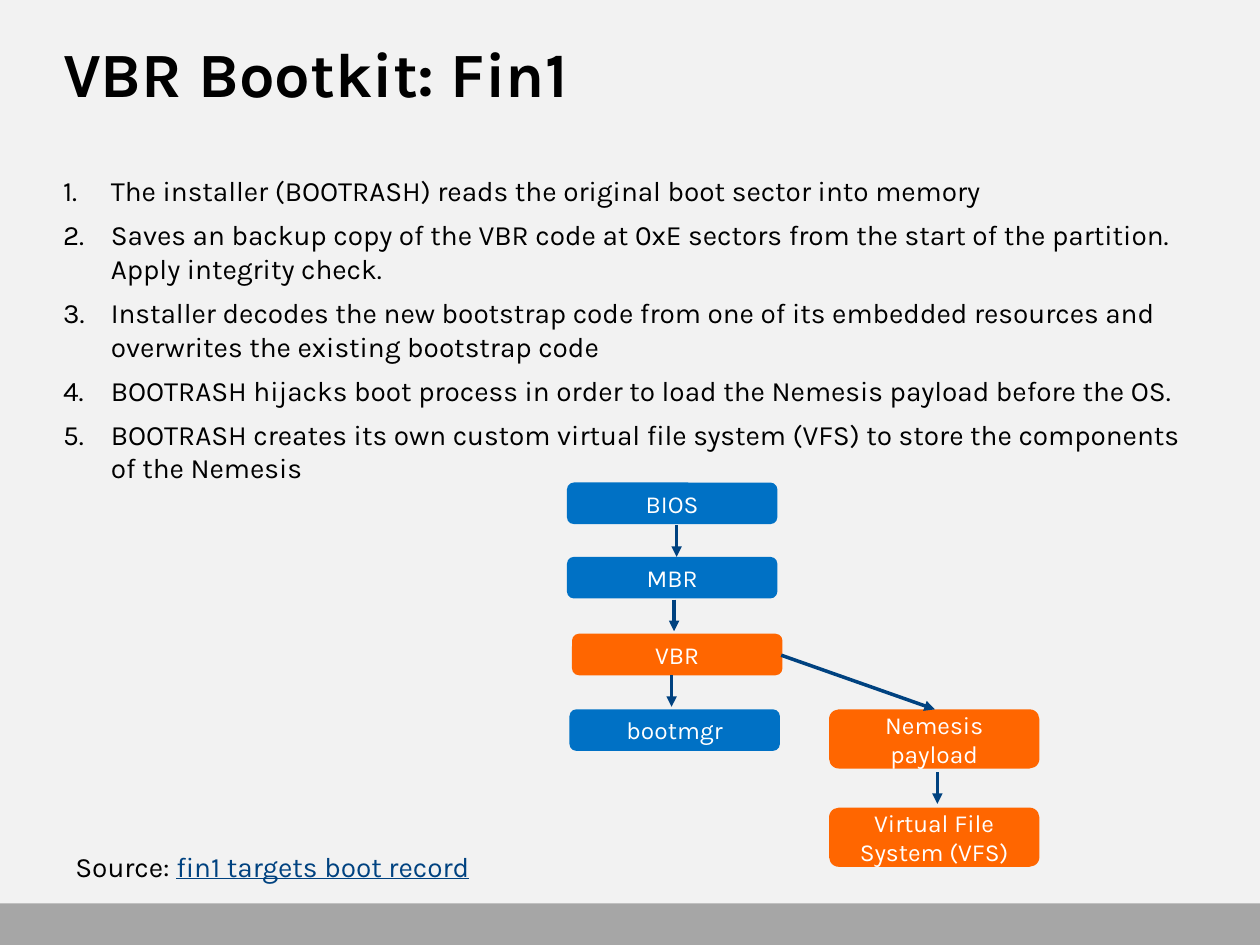
"""Build the VBR bootkit slide with its numbered steps and boot flow diagram."""
from lxml import etree
from pptx import Presentation
from pptx import util as u
from pptx.dml.color import RGBColor
from pptx.enum import shapes, text
from pptx.oxml.ns import qn

FONT = "Karla"
BLACK = RGBColor(0x00, 0x00, 0x00)
WHITE = RGBColor(0xFF, 0xFF, 0xFF)
PAPER = RGBColor(0xF2, 0xF2, 0xF2)
GRAY = RGBColor(0xA6, 0xA6, 0xA6)
BLUE = RGBColor(0x00, 0x71, 0xC5)
NAVY = RGBColor(0x00, 0x42, 0x80)
ORANGE = RGBColor(0xFF, 0x66, 0x00)

WIDTH, HEIGHT = 10, 7.5
MARGIN = WIDTH * 0.05
CONTENT_WIDTH = WIDTH - 2 * MARGIN
FOOTER_HEIGHT = 0.33
INDENT = 0.38
BOX_WIDTH, LINE_HEIGHT, BOX_PADDING = 1.67, 0.14, 0.19
ARROW_LENGTH = 0.25

TITLE = "VBR Bootkit: Fin1"
STEPS = [
    "The installer (BOOTRASH) reads the original boot sector into memory",
    "Saves an backup copy of the VBR code at 0xE sectors from the start of the partition. "
    "Apply integrity check.",
    "Installer decodes the new bootstrap code from one of its embedded resources and "
    "overwrites the existing bootstrap code",
    "BOOTRASH hijacks boot process in order to load the Nemesis payload before the OS.",
    "BOOTRASH creates its own custom virtual file system (VFS) to store the components "
    "of the Nemesis",
]
SOURCE = [("Source: ", BLACK, False), ("fin1 targets boot record", NAVY, True)]
BOXES = [  # label, left, top, text lines, fill
    ("BIOS", 4.5, 3.83, 1, BLUE),
    ("MBR", 4.5, 4.42, 1, BLUE),
    ("VBR", 4.54, 5.03, 1, ORANGE),
    ("bootmgr", 4.52, 5.63, 1, BLUE),
    ("Nemesis payload", 6.58, 5.63, 2, ORANGE),
    ("Virtual File System (VFS)", 6.58, 6.41, 2, ORANGE),
]
DOWN_ARROWS = [(5.37, 4.17), (5.35, 4.76), (5.33, 5.36), (7.44, 6.13)]
BRANCH = ((6.2, 5.2), (7.42, 5.63))


def inches(*lengths):
    return [u.Inches(length) for length in lengths]


def add_run(paragraph, words, size, color, bold=False, underline=False):
    run = paragraph.add_run()
    run.text = words
    font = run.font
    font.name, font.size, font.bold, font.underline = FONT, u.Pt(size), bold, underline
    font.color.rgb = color


def prepare_placeholder(shape, top, height):
    shape.left, shape.top, shape.width, shape.height = inches(
        MARGIN, top, CONTENT_WIDTH, height)
    frame = shape.text_frame
    frame.margin_left = frame.margin_right = frame.margin_top = frame.margin_bottom = 0
    frame.vertical_anchor = text.MSO_ANCHOR.TOP
    frame.auto_size = text.MSO_AUTO_SIZE.NONE
    frame.word_wrap = True
    return frame


def number_paragraph(paragraph):
    properties = paragraph._p.get_or_add_pPr()
    properties.set("marL", str(u.Inches(INDENT)))
    properties.set("indent", str(-u.Inches(INDENT)))
    bullet_font = etree.SubElement(properties, qn("a:buFont"))
    bullet_font.set("typeface", FONT)
    numbering = etree.SubElement(properties, qn("a:buAutoNum"))
    numbering.set("type", "arabicPeriod")


def add_block(slide, kind, left, top, width, height, color):
    shape = slide.shapes.add_shape(kind, *inches(left, top, width, height))
    shape.shadow.inherit = False
    shape.fill.solid()
    shape.fill.fore_color.rgb = color
    shape.line.fill.background()
    return shape


def add_box(slide, label, left, top, lines, color):
    height = BOX_PADDING + lines * LINE_HEIGHT
    shape = add_block(slide, shapes.MSO_SHAPE.ROUNDED_RECTANGLE,
                      left, top, BOX_WIDTH, height, color)
    frame = shape.text_frame
    frame.word_wrap = True
    frame.vertical_anchor = text.MSO_ANCHOR.MIDDLE
    paragraph = frame.paragraphs[0]
    paragraph.alignment = text.PP_ALIGN.CENTER
    add_run(paragraph, label, 14, WHITE)


def add_arrow(slide, start, end):
    connector = slide.shapes.add_connector(
        shapes.MSO_CONNECTOR.STRAIGHT, *inches(*start, *end))
    connector.line.color.rgb = NAVY
    connector.line.width = u.Pt(2)
    head = etree.SubElement(connector.line._get_or_add_ln(), qn("a:tailEnd"))
    head.set("type", "triangle")
    etree.SubElement(connector._element.spPr, qn("a:effectLst"))


def main():
    presentation = Presentation()
    presentation.slide_width, presentation.slide_height = inches(WIDTH, HEIGHT)
    slide = presentation.slides.add_slide(presentation.slide_layouts[1])
    slide.background.fill.solid()
    slide.background.fill.fore_color.rgb = PAPER

    add_block(slide, shapes.MSO_SHAPE.RECTANGLE,
              0, HEIGHT - FOOTER_HEIGHT, WIDTH, FOOTER_HEIGHT, GRAY)

    title = prepare_placeholder(slide.shapes.title, 0.27, 1.08).paragraphs[0]
    title.alignment = text.PP_ALIGN.LEFT
    add_run(title, TITLE, 36, BLACK, bold=True)

    body = prepare_placeholder(slide.placeholders[1], 1.38, 2.78)
    for index, step in enumerate(STEPS):
        paragraph = body.add_paragraph() if index else body.paragraphs[0]
        paragraph.space_before = u.Pt(6)
        number_paragraph(paragraph)
        add_run(paragraph, step, 16, BLACK)

    source = slide.shapes.add_textbox(*inches(MARGIN, 6.69, 3.35, 0.37)).text_frame
    source.word_wrap = False
    for words, color, underline in SOURCE:
        add_run(source.paragraphs[0], words, 16, color, underline=underline)

    for box in BOXES:
        add_box(slide, *box)
    for x, y in DOWN_ARROWS:
        add_arrow(slide, (x, y), (x, y + ARROW_LENGTH))
    add_arrow(slide, *BRANCH)

    presentation.save("out.pptx")


if __name__ == "__main__":
    main()
